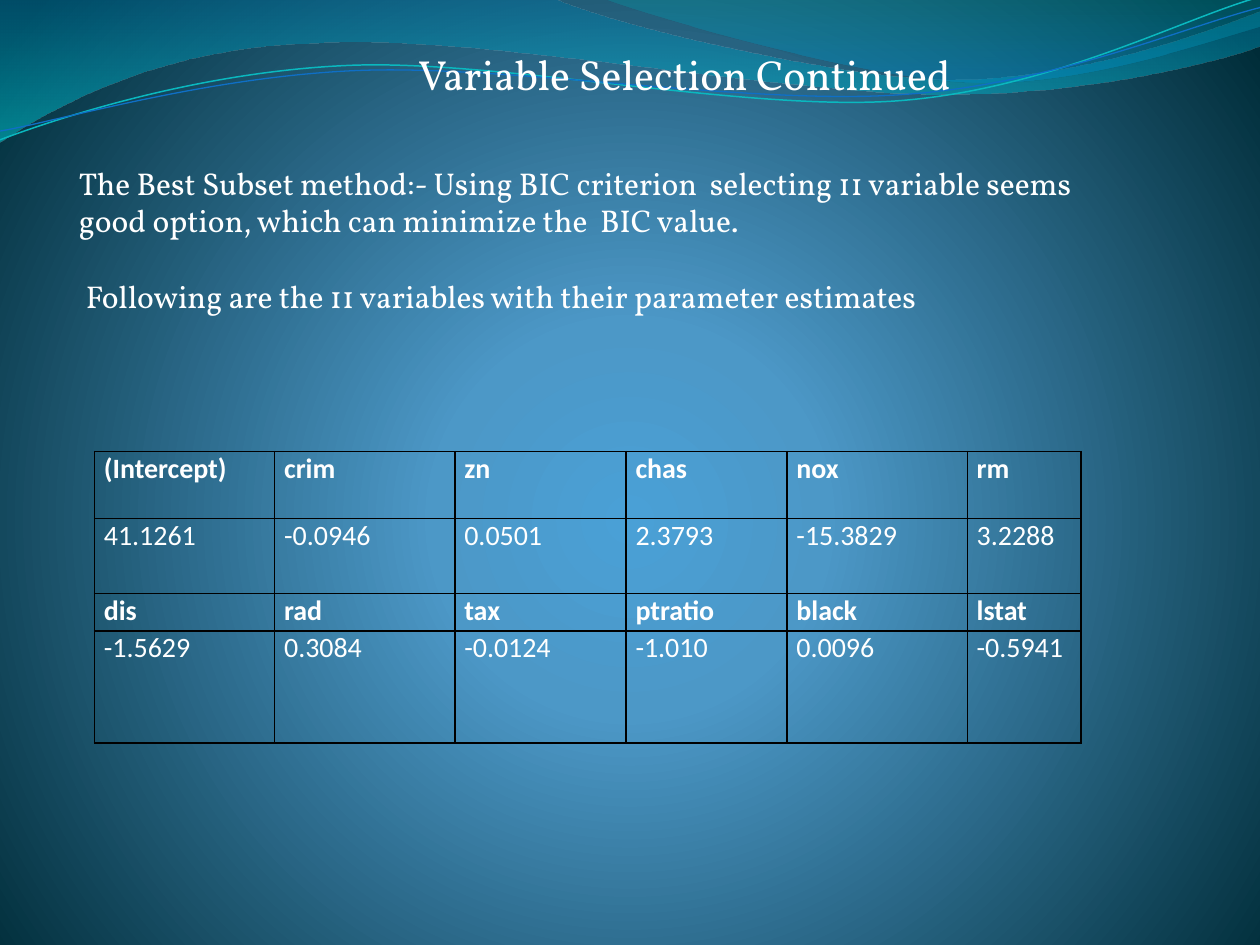
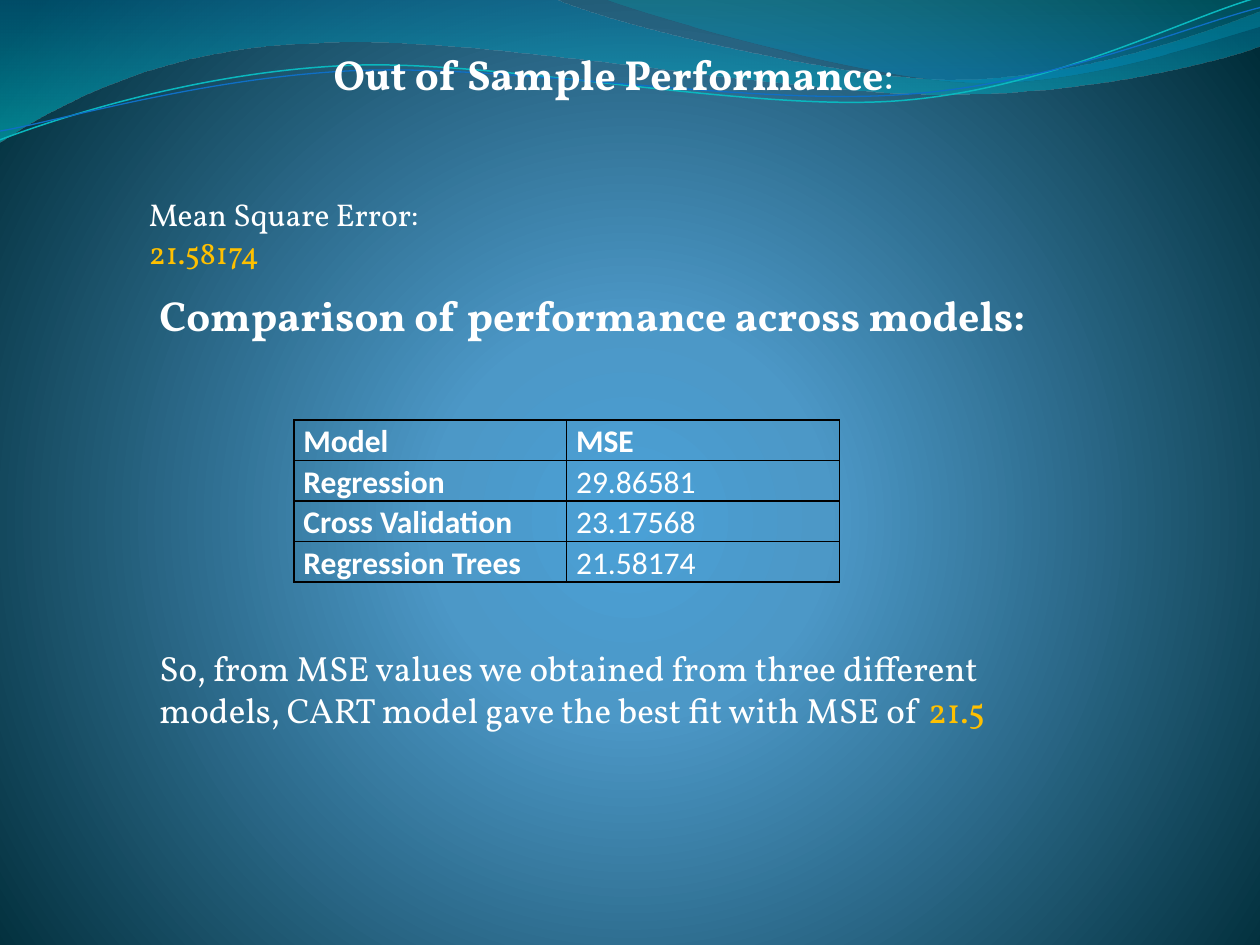
import pptx
import pptx.dml.color
import pptx.enum.text
import pptx.oxml
import pptx.oxml.ns
import pptx.util

Pt = pptx.util.Pt
qn = pptx.oxml.ns.qn
NS = pptx.oxml.ns.nsdecls("a")

WHITE, GOLD, BLACK = "FFFFFF", "FFC000", "000000"
TEXT_FONT, TABLE_FONT = "Vollkorn", "Calibri"
BACKGROUND = [(0, "4AA0D6", 100), (25, "4C98C7", 100), (100, "002C38", 100)]
RADIAL = '<a:path path="circle"><a:fillToRect l="10000" t="110000" r="10000" b="100000"/></a:path>'
DOWNWARD = '<a:lin ang="5400000" scaled="0"/>'

# Outlines: a start point, then pairs (straight) or sextuples (Bezier curves).
BANDS = [
    ([(0, 0), (316.8, -0.7), (342.7, 12.2, 478.1, 45.4, 545.8, 45.4),
      (614.2, 45.4, 689.8, 18.7, 720, 6.5), (720.7, 25.9),
      (707.8, 31.7, 626.4, 54.7, 537.1, 54), (447.8, 54, 275, 20.2, 185, 24.5),
      (92.9, 25.9, 33.1, 59.8, -0.7, 81.4)],
     [(0, "0074A1", 45), (100, "00C6CF", 55)]),
    ([(344.9, -0.7), (366.5, 7.9, 491, 44.6, 553.7, 46.8),
      (616.3, 49.7, 691.9, 23, 720, 15.1), (720, 0)],
     [(0, "00A1A9", 30), (80, "008BBF", 45)]),
]
WAVE_LINES = [
    ([(0, 79.9), (34.6, 67, 113.8, 41, 199.4, 37.4),
      (284.4, 33.8, 427, 64.1, 513.4, 57.6), (599.8, 51.1, 675.4, 10.8, 718.6, -1.4)],
     "0AB8BF", 0.85),
    ([(0, 74.9), (33.8, 69.1, 118.1, 43.9, 203.8, 40.3),
      (290.2, 36.7, 429.8, 60.5, 516.2, 54), (601.9, 48.2, 677.5, 15.1, 720, 4.3)],
     "0F6FC6", 0.75),
]


def rgb(color):
    return pptx.dml.color.RGBColor.from_string(color)


def gradient_stop(pos, color, opacity):
    alpha = f'<a:alpha val="{opacity * 1000}"/>' if opacity < 100 else ""
    return f'<a:gs pos="{pos * 1000}"><a:srgbClr val="{color}">{alpha}</a:srgbClr></a:gs>'


def set_gradient(fill, element, stops, direction):
    """Fill with (position %, colour, opacity %) stops; element holds the fill."""
    fill.gradient()
    old = element.find(".//" + qn("a:gradFill"))
    marks = "".join(gradient_stop(*stop) for stop in stops)
    new = pptx.oxml.parse_xml(
        f'<a:gradFill {NS} rotWithShape="1"><a:gsLst>{marks}</a:gsLst>{direction}</a:gradFill>')
    old.getparent().replace(old, new)


def add_outline(s, outline, close):
    """Build the outline through all its points, then bend the curved parts."""
    points = [(Pt(part[i]), Pt(part[i + 1]))
              for part in outline for i in range(0, len(part), 2)]
    builder = s.shapes.build_freeform(*points[0])
    builder.add_line_segments(points[1:], close=close)
    sp = builder.convert_to_shape()
    sp.shadow.inherit = False
    segments = iter(list(sp.element.iter(qn("a:lnTo"))))
    for part in outline[1:]:
        first = next(segments)
        if len(part) == 6:
            curve = pptx.oxml.parse_xml(f"<a:cubicBezTo {NS}/>")
            first.addprevious(curve)
            for segment in (first, next(segments), next(segments)):
                curve.append(segment[0])
                segment.getparent().remove(segment)
    return sp


def add_waves(s):
    for outline, stops in BANDS:
        sp = add_outline(s, outline, True)
        set_gradient(sp.fill, sp.element, stops, DOWNWARD)
        sp.line.fill.background()
    for outline, color, width in WAVE_LINES:
        sp = add_outline(s, outline, False)
        sp.fill.background()
        sp.line.color.rgb = rgb(color)
        sp.line.width = Pt(width)


def add_run(p, text, size, color=WHITE, bold=False, font=TEXT_FONT):
    r = p.add_run()
    r.text = text
    r.font.name, r.font.size, r.font.bold = font, Pt(size), bold
    r.font.color.rgb = rgb(color)


def set_indent(p, indent):
    p._p.get_or_add_pPr().set("marL", str(Pt(indent)))


def add_text(s, left, top, width, height, paragraphs, size, indent=0):
    """Each paragraph is a list of (text, colour, bold) runs."""
    tf = s.shapes.add_textbox(Pt(left), Pt(top), Pt(width), Pt(height)).text_frame
    tf.word_wrap = True
    tf.auto_size = pptx.enum.text.MSO_AUTO_SIZE.SHAPE_TO_FIT_TEXT
    for i, runs in enumerate(paragraphs):
        p = tf.add_paragraph() if i else tf.paragraphs[0]
        set_indent(p, indent)
        for text, color, bold in runs:
            add_run(p, text, size, color, bold)
    return tf


def add_title(s, left, width, indent, runs):
    add_text(s, left, 24, width, 36, [runs], 24, indent)


def set_borders(cell):
    tcPr = cell._tc.get_or_add_tcPr()
    for i, side in enumerate(("lnL", "lnR", "lnT", "lnB")):
        tcPr.insert(i, pptx.oxml.parse_xml(
            f'<a:{side} {NS} w="{Pt(1)}"><a:solidFill><a:srgbClr val="{BLACK}"/>'
            f'</a:solidFill></a:{side}>'))


def add_grid(s, left, top, widths, heights, rows, size, is_bold, spacing=1.0):
    """Add a bordered, unfilled table; is_bold(row, column) marks the headings."""
    table = s.shapes.add_table(len(rows), len(widths), Pt(left), Pt(top),
                               Pt(sum(widths)), Pt(sum(heights))).table
    table.first_row = table.horz_banding = False
    for column, width in zip(table.columns, widths):
        column.width = Pt(width)
    for row, height in zip(table.rows, heights):
        row.height = Pt(height)
    for i, values in enumerate(rows):
        for j, value in enumerate(values):
            cell = table.cell(i, j)
            cell.margin_left = cell.margin_right = Pt(5.4)
            cell.margin_top = cell.margin_bottom = 0
            cell.fill.background()
            set_borders(cell)
            p = cell.text_frame.paragraphs[0]
            p.line_spacing = spacing
            add_run(p, value, size, bold=is_bold(i, j), font=TABLE_FONT)


def add_slide(prs):
    s = prs.slides.add_slide(prs.slide_layouts[6])
    set_gradient(s.background.fill, s.element, BACKGROUND, RADIAL)
    add_waves(s)
    return s


def variable_selection(prs):
    s = add_slide(prs)
    add_title(s, 210, 353, 21.8, [("Variable Selection Continued", WHITE, False)])
    lines = ["The Best Subset method:- Using BIC criterion  selecting 11 variable seems",
             "good option, which can minimize the  BIC value.",
             "Following are the 11 variables with their parameter estimates"]
    tf = add_text(s, 24, 90, 618, 138, [[(line, WHITE, False)] for line in lines], 18, 14)
    last = tf.paragraphs[-1]
    last.space_before = Pt(21.7)
    set_indent(last, 18)
    estimates = [["(Intercept)", "crim", "zn", "chas", "nox", "rm"],
                 ["41.1261", "-0.0946", "0.0501", "2.3793", "-15.3829", "3.2288"],
                 ["dis", "rad", "tax", "ptratio", "black", "lstat"],
                 ["-1.5629", "0.3084", "-0.0124", "-1.010", "0.0096", "-0.5941"]]
    add_grid(s, 54, 258, [103, 103, 97.8, 92, 103, 65], [38.3, 42.9, 21.5, 64],
             estimates, 16, lambda i, j: i % 2 == 0)


def sample_performance(prs):
    s = add_slide(prs)
    add_title(s, 180, 432, 3.6,
              [("Out of Sample Performance", WHITE, True), (":", WHITE, False)])
    add_text(s, 84, 366, 546, 55,
             [[("So, from MSE values we obtained from three different models, "
                "CART model gave the best fit with MSE of ", WHITE, False),
               ("21.5", GOLD, False)]], 20)
    add_text(s, 84, 162, 552, 36,
             [[("Comparison of performance across models:", WHITE, True)]], 24)
    scores = [["Model", "MSE"], ["Regression", "29.86581"],
              ["Cross Validation", "23.17568"], ["Regression Trees", "21.58174"]]
    add_grid(s, 168, 240, [155.8] * 2, [23.1] * 4, scores, 18,
             lambda i, j: i == 0 or j == 0, 1.07)
    add_text(s, 78, 108, 231, 29,
             [[("Mean Square Error: ", WHITE, False), ("21.58174", GOLD, False)]], 18)


def main():
    prs = pptx.Presentation()
    prs.slide_width, prs.slide_height = Pt(720), Pt(540)
    variable_selection(prs)
    sample_performance(prs)
    prs.save("out.pptx")


if __name__ == "__main__":
    main()
